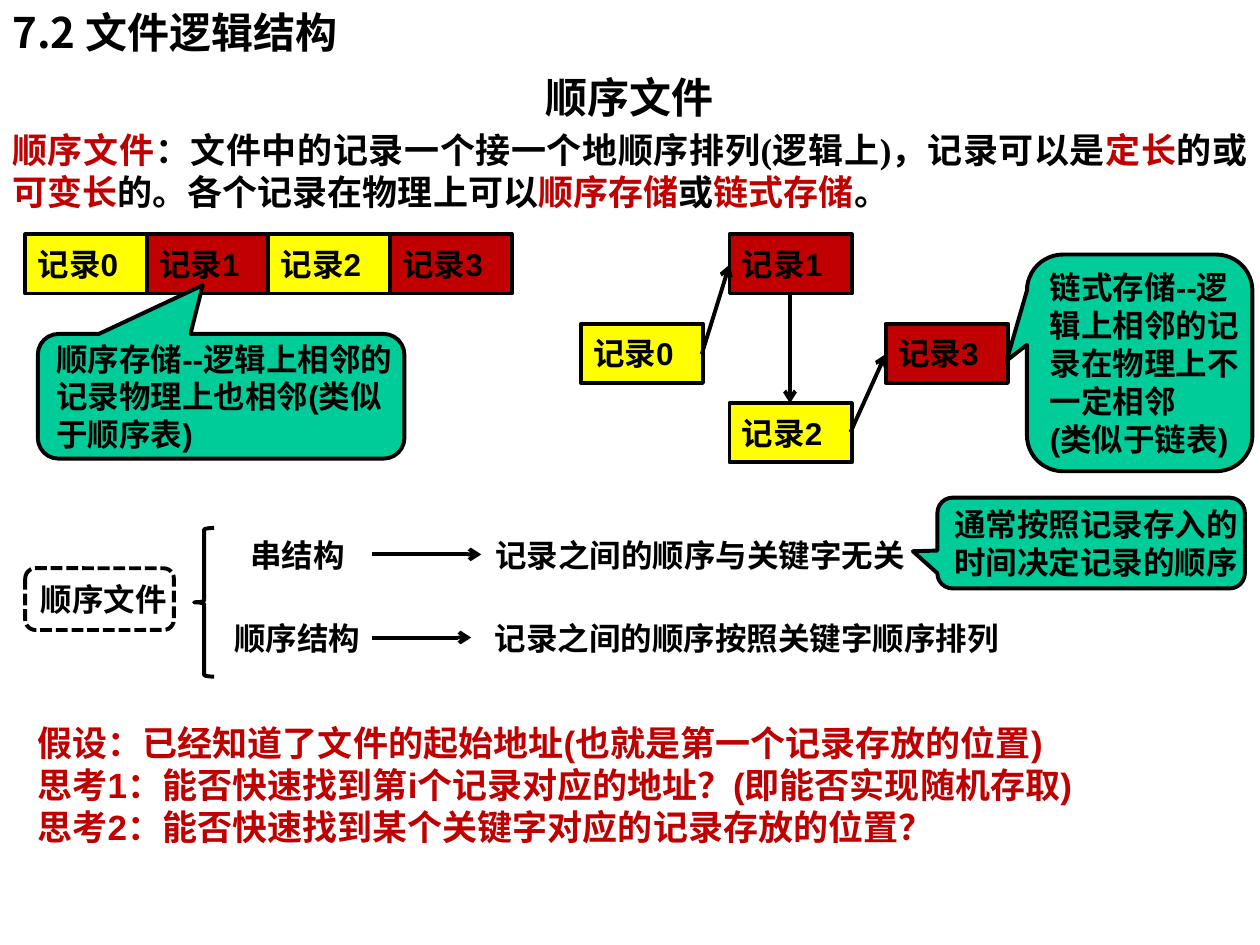
"""Build a slide on sequential files: record layouts, callouts and questions."""
from lxml import etree
from pptx import Presentation
from pptx.dml.color import RGBColor
from pptx.enum.dml import MSO_LINE
from pptx.enum.shapes import MSO_CONNECTOR, MSO_SHAPE
from pptx.enum.text import MSO_ANCHOR, PP_ALIGN
from pptx.oxml.ns import qn
from pptx.util import Inches, Pt

RECTANGLE = MSO_SHAPE.RECTANGLE
CALLOUT = MSO_SHAPE.ROUNDED_RECTANGULAR_CALLOUT
ROUNDED = MSO_SHAPE.FLOWCHART_ALTERNATE_PROCESS
BRACE = MSO_SHAPE.LEFT_BRACE
LEFT, CENTER, JUSTIFY = PP_ALIGN.LEFT, PP_ALIGN.CENTER, PP_ALIGN.JUSTIFY
TOP, MIDDLE = MSO_ANCHOR.TOP, MSO_ANCHOR.MIDDLE
BLACK, RED, YELLOW, GREEN = "000000", "C00000", "FFFF00", "00CC99"
LINE_WIDTH = Pt(2.25)
RECORD_WIDTH, RECORD_HEIGHT = 0.97, 0.47


def write_text(shape, paragraphs, size=18, font="Arial", color=BLACK,
               align=LEFT, anchor=MIDDLE, wrap=False):
    frame = shape.text_frame
    for name, value in {"word_wrap": wrap, "vertical_anchor": anchor}.items():
        setattr(frame, name, value)
    for index, runs in enumerate(paragraphs):
        paragraph = frame.paragraphs[0] if index == 0 else frame.add_paragraph()
        paragraph.alignment = align
        paragraph.line_spacing = Pt(size * 1.2)
        for text, run_color in [(runs, color)] if isinstance(runs, str) else runs:
            for part, line in enumerate(text.split("\n")):
                if part:
                    paragraph.add_line_break()
                run = paragraph.add_run()
                run.text = line
                for name, value in {"size": Pt(size), "name": font, "bold": True}.items():
                    setattr(run.font, name, value)
                run.font.color.rgb = RGBColor.from_string(run_color)


def add_box(kind, bounds, paragraphs=(), fill=None, outlined=True, align=LEFT):
    shape = slide.shapes.add_shape(kind, *map(Inches, bounds))
    shape.shadow.inherit = False
    if fill:
        shape.fill.solid()
        shape.fill.fore_color.rgb = RGBColor.from_string(fill)
    else:
        shape.fill.background()
    if outlined:
        shape.line.color.rgb = RGBColor.from_string(BLACK)
        shape.line.width = LINE_WIDTH
    else:
        shape.line.fill.background()
    write_text(shape, paragraphs, align=align)
    return shape


presentation = Presentation()
presentation.slide_width, presentation.slide_height = Inches(10), Inches(7.5)
slide = presentation.slides.add_slide(presentation.slide_layouts[6])

title = slide.shapes.add_textbox(Inches(0), Inches(0), Inches(10), Inches(0.5))
write_text(title, ["7.2 文件逻辑结构"], size=24, font="Noto Sans CJK SC", wrap=True)

definition = [
    ("顺序文件", RED),
    ("：文件中的记录一个接一个地顺序排列(逻辑上)，记录可以是", BLACK),
    ("定长", RED), ("的或", BLACK), ("可变长", RED),
    ("的。各个记录在物理上可以", BLACK),
    ("顺序存储", RED), ("或", BLACK), ("链式存储", RED), ("。", BLACK),
]
body_parts = [
    (0.52, 0.5, "顺序文件", 24, CENTER),
    (0.97, 0.77, definition, 20, JUSTIFY),
]
for top, height, content, size, align in body_parts:
    body = slide.shapes.add_textbox(Inches(0), Inches(top), Inches(10), Inches(height))
    write_text(body, [content], size=size, font="Times New Roman",
               align=align, anchor=TOP, wrap=True)

contiguous = [(0.2 + 0.965 * number, 1.86, number, (YELLOW, RED)[number % 2])
              for number in range(4)]
linked = [(4.61, 2.57, 0, YELLOW), (5.79, 1.86, 1, RED),
          (5.79, 3.2, 2, YELLOW), (7.03, 2.57, 3, RED)]
for left, top, number, fill in contiguous + linked:
    add_box(RECTANGLE, (left, top, RECORD_WIDTH, RECORD_HEIGHT), [f"记录{number}"], fill)

callouts = [
    ((0.3, 2.65, 2.91, 0.99), (-0.05, -0.89),
     ["顺序存储--逻辑上相邻的", "记录物理上也相邻(类似", "于顺序表)"]),
    ((8.15, 2.02, 1.79, 1.72), (-0.59, -0.01),
     ["链式存储--逻", "辑上相邻的记", "录在物理上不", "一定相邻", "(类似于链表)"]),
    ((7.44, 3.95, 2.44, 0.72), (-0.58, 0.09),
     ["通常按照记录存入的", "时间决定记录的顺序"]),
]
for bounds, pointer, lines in callouts:
    callout = add_box(CALLOUT, bounds, lines, GREEN)
    callout.adjustments[0], callout.adjustments[1] = pointer

root = add_box(ROUNDED, (0.2, 4.51, 1.18, 0.49), ["顺序文件"])
root.line.dash_style = MSO_LINE.SQUARE_DOT
add_box(BRACE, (1.54, 4.19, 0.16, 1.18))

branches = [
    (1.77, 4.16, 1.18, "串结构"),
    (3.82, 4.16, 3.47, "记录之间的顺序与关键字无关"),
    (1.77, 4.82, 1.18, "顺序结构"),
    (3.74, 4.82, 4.37, "记录之间的顺序按照关键字顺序排列"),
]
for left, top, width, label in branches:
    add_box(ROUNDED, (left, top, width, 0.49), [label], outlined=False, align=CENTER)

arrows = [
    (5.57, 2.81, 5.79, 2.1), (6.27, 2.33, 6.27, 3.2), (6.75, 3.43, 7.03, 2.81),
    (2.95, 4.4, 3.82, 4.4), (2.95, 5.06, 3.74, 5.06),
]
for ends in arrows:
    arrow = slide.shapes.add_connector(MSO_CONNECTOR.STRAIGHT, *map(Inches, ends))
    arrow.line.color.rgb = RGBColor.from_string(BLACK)
    arrow.line.width = LINE_WIDTH
    properties = arrow.element.spPr
    etree.SubElement(properties.find(qn("a:ln")), qn("a:tailEnd"), type="arrow")
    etree.SubElement(properties, qn("a:effectLst"))

questions = slide.shapes.add_textbox(Inches(0.2), Inches(5.68), Inches(9.03), Inches(1.11))
write_text(questions, [
    "假设：已经知道了文件的起始地址(也就是第一个记录存放的位置)",
    "思考1：能否快速找到第i个记录对应的地址？(即能否实现随机存取)\n"
    "思考2：能否快速找到某个关键字对应的记录存放的位置？",
], size=20, color=RED, anchor=TOP, wrap=True)

presentation.save("out.pptx")
